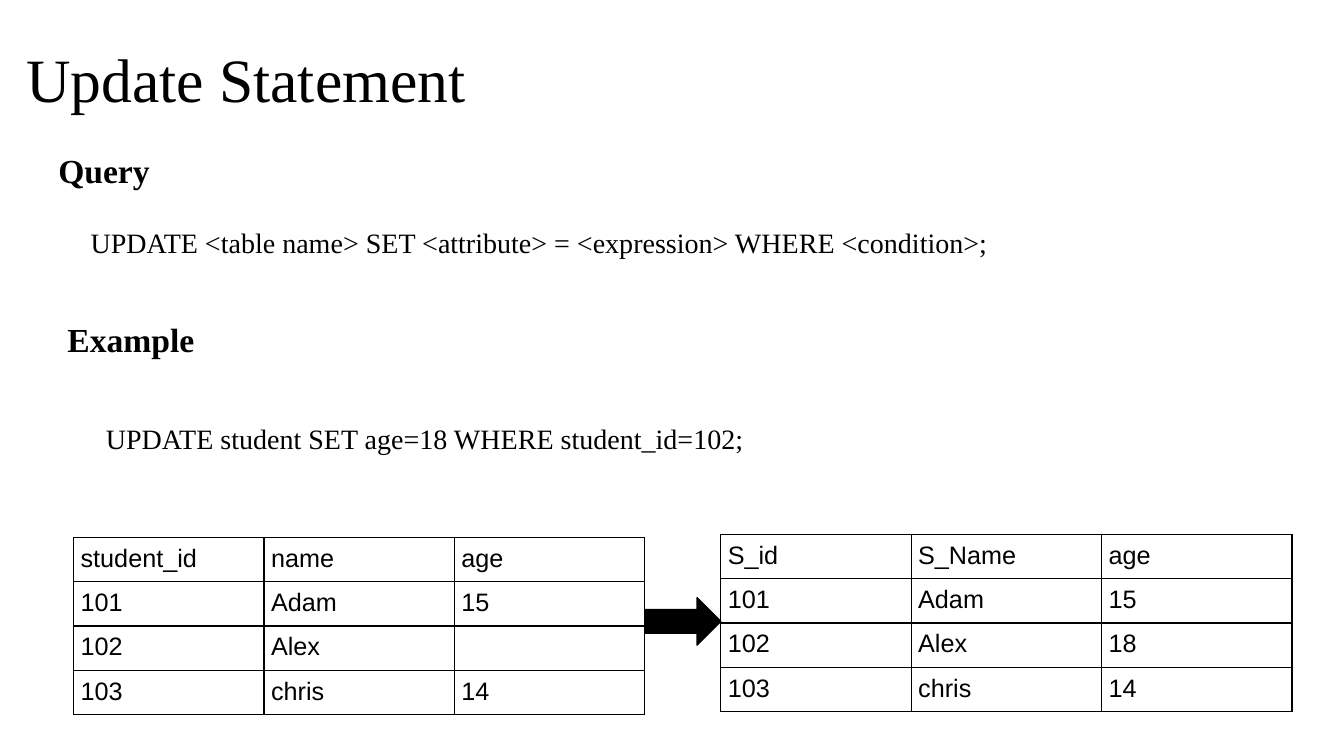
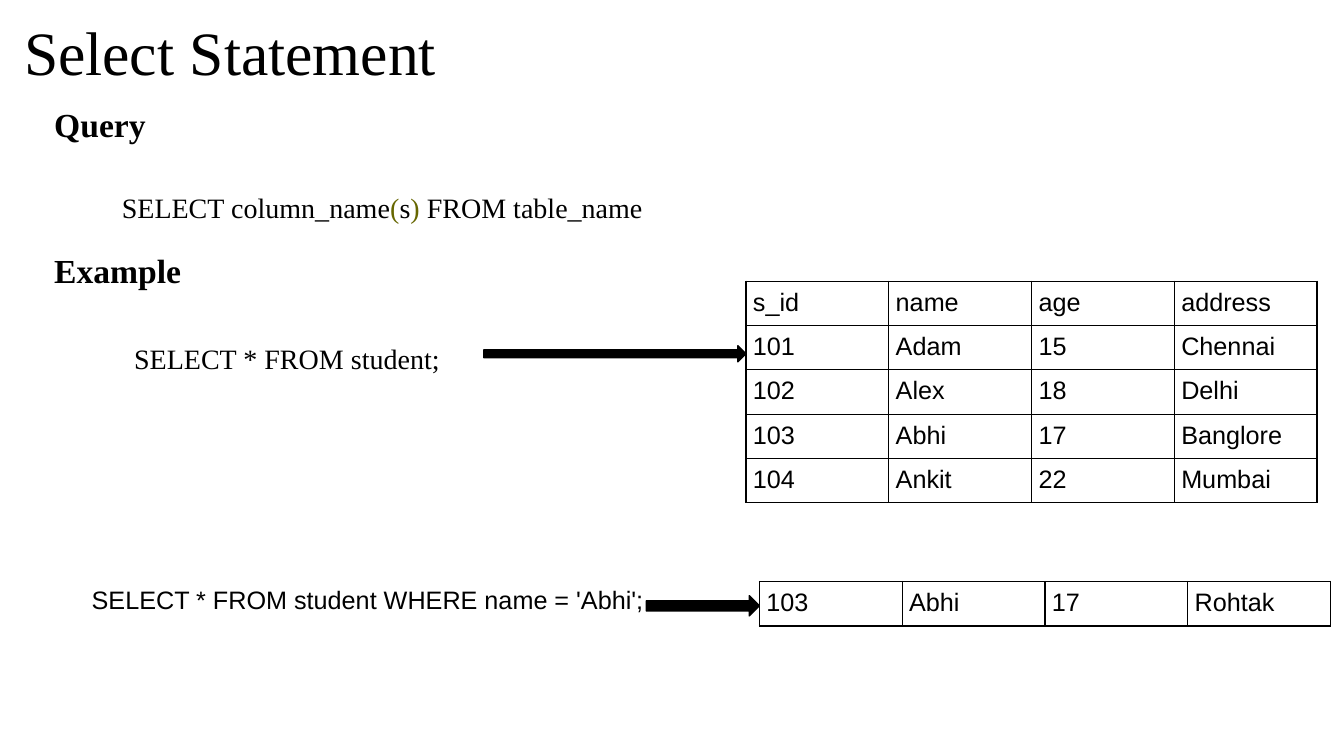
from dataclasses import dataclass

from lxml.etree import SubElement
from pptx import Presentation
from pptx.dml.color import RGBColor
from pptx.enum.shapes import MSO_SHAPE
from pptx.enum.text import MSO_ANCHOR
from pptx.oxml.ns import qn
from pptx.util import Inches, Pt

BLACK = RGBColor(0, 0, 0)
WHITE = RGBColor(255, 255, 255)
OLIVE = RGBColor(0x66, 0x66, 0)
SERIF = "Times New Roman"
SANS = "Arial"
SLIDE_WIDTH = Inches(13.33)
SLIDE_HEIGHT = Inches(7.5)
TABLE_WIDTH = 42.5
ROW_HEIGHT = 5.78
CELL_INSET = Inches(0.07)


@dataclass
class Box:
    """A rectangle in percent of the slide's width and height."""

    left: float
    top: float
    width: float
    height: float

    def lengths(self):
        """Return left, top, width and height as slide lengths."""
        return (
            int(SLIDE_WIDTH * self.left / 100),
            int(SLIDE_HEIGHT * self.top / 100),
            int(SLIDE_WIDTH * self.width / 100),
            int(SLIDE_HEIGHT * self.height / 100),
        )

    def inner(self, left, top, width, height):
        """Return a box offset from this box's top left corner."""
        return Box(self.left + left, self.top + top, width, height)


def style_font(paragraph, name, size, bold=False):
    """Give a paragraph its black font."""
    font = paragraph.font
    font.name, font.size, font.bold = name, Pt(size), bold
    font.color.rgb = BLACK


def add_text(slide, box, parts, name=SERIF, size=20, bold=False, anchor=MSO_ANCHOR.TOP):
    """Add a one-paragraph text box made of (text, colour) parts."""
    shape = slide.shapes.add_textbox(*box.lengths())
    frame = shape.text_frame
    frame.word_wrap = True
    frame.vertical_anchor = anchor
    paragraph = frame.paragraphs[0]
    style_font(paragraph, name, size, bold)
    for text, colour in parts:
        run = paragraph.add_run()
        run.text = text
        if colour != BLACK:
            run.font.color.rgb = colour
    return shape


def add_title(slide, left, top, text):
    """Add the slide title."""
    box = Box(left, top, 86.25, 19.33)
    title = add_text(slide, box, [(text, BLACK)], size=44, anchor=MSO_ANCHOR.MIDDLE)
    title.text_frame.paragraphs[0].line_spacing = 0.9


def add_heading(slide, box, text):
    """Add a bold heading at the top of a section."""
    add_text(slide, box.inner(0, 0, 24.2, 6.67), [(text, BLACK)], size=24, bold=True)


def add_query(slide, box, indent, drop, parts):
    """Add the query heading with the statement's syntax below it."""
    add_heading(slide, box, "Query")
    syntax_box = box.inner(indent, drop, box.width - indent, 5.87)
    add_text(slide, syntax_box, parts, anchor=MSO_ANCHOR.MIDDLE)


def add_example(slide, box, indent, drop, statement):
    """Add the example heading with a statement on white below it."""
    add_heading(slide, box, "Example")
    statement_box = box.inner(indent, drop, box.width - indent, 6.8)
    shape = add_text(slide, statement_box, [(statement, BLACK)], anchor=MSO_ANCHOR.MIDDLE)
    shape.text_frame.margin_left = shape.text_frame.margin_right = 0
    shape.fill.solid()
    shape.fill.fore_color.rgb = WHITE


def add_borders(cell):
    """Draw thin black lines on all four sides of a cell."""
    properties = cell._tc.get_or_add_tcPr()
    for side in ("a:lnL", "a:lnR", "a:lnT", "a:lnB"):
        line = SubElement(properties, qn(side), w=str(Pt(1)))
        fill = SubElement(line, qn("a:solidFill"))
        SubElement(fill, qn("a:srgbClr"), val=str(BLACK))


def add_records(slide, left, top, records):
    """Add a plain ruled table of records."""
    box = Box(left, top, TABLE_WIDTH, ROW_HEIGHT * len(records))
    frame = slide.shapes.add_table(len(records), len(records[0]), *box.lengths())
    table = frame.table
    table.first_row = table.horz_banding = False
    for row, record in enumerate(records):
        for column, value in enumerate(record):
            cell = table.cell(row, column)
            cell.margin_left = cell.margin_right = CELL_INSET
            cell.margin_top = cell.margin_bottom = CELL_INSET
            cell.text = value
            style_font(cell.text_frame.paragraphs[0], SANS, 18)
            add_borders(cell)
            cell.fill.background()


def add_arrow(slide, left, right, top, height):
    """Add a black block arrow that ends at the right edge given."""
    box = Box(left, top, right - left, height)
    arrow = slide.shapes.add_shape(MSO_SHAPE.RIGHT_ARROW, *box.lengths())
    arrow.shadow.inherit = False
    arrow.fill.solid()
    arrow.fill.fore_color.rgb = BLACK
    arrow.line.color.rgb = BLACK
    arrow.line.width = Pt(1)


def add_update_slide(presentation):
    """Build the slide on the update statement."""
    slide = presentation.slides.add_slide(presentation.slide_layouts[6])
    before_left, after_left = 5.48, 53.63
    add_title(slide, 1.2, 1.2, "Update Statement")
    syntax = "UPDATE <table name> SET <attribute> = <expression> WHERE <condition>;"
    add_query(slide, Box(3.6, 19.2, 72.2, 16.5), 2.4, 9.87, [(syntax, BLACK)])
    add_example(slide, Box(4.28, 41.47, 53.8, 20), 3.6, 13.06,
                "UPDATE student SET age=18 WHERE student_id=102;")
    add_records(slide, before_left, 71.07, [
        ("student_id", "name", "age"),
        ("101", "Adam", "15"),
        ("102", "Alex", ""),
        ("103", "chris", "14"),
    ])
    add_arrow(slide, before_left + TABLE_WIDTH, after_left, 79.07, 6.27)
    add_records(slide, after_left, 70.67, [
        ("S_id", "S_Name", "age"),
        ("101", "Adam", "15"),
        ("102", "Alex", "18"),
        ("103", "chris", "14"),
    ])


def add_select_slide(presentation):
    """Build the slide on the select statement."""
    slide = presentation.slides.add_slide(presentation.slide_layouts[6])
    all_left, match_left = 55.5, 56.5
    add_title(slide, 1.05, -2.27, "Select Statement")
    add_query(slide, Box(3.3, 13.07, 45.63, 17.33), 5.03, 11.46, [
        ("SELECT column_name", BLACK),
        ("(", OLIVE),
        ("s", BLACK),
        (")", OLIVE),
        (" FROM table_name", BLACK),
    ])
    add_example(slide, Box(3.3, 32.4, 32.6, 18.4), 6.68, 11.6, "SELECT * FROM student;")
    add_records(slide, all_left, 37.2, [
        ("s_id", "name", "age", "address"),
        ("101", "Adam", "15", "Chennai"),
        ("102", "Alex", "18", "Delhi"),
        ("103", "Abhi", "17", "Banglore"),
        ("104", "Ankit", "22", "Mumbai"),
    ])
    add_arrow(slide, 36, all_left, 45.73, 2.13)
    add_text(slide, Box(6.08, 76.67, 43, 5.33),
             [("SELECT * FROM student WHERE name = 'Abhi';", BLACK)], name=SANS, size=18)
    add_records(slide, match_left, 76.93, [("103", "Abhi", "17", "Rohtak")])
    add_arrow(slide, 48.08, match_left, 78.8, 2.67)


def main():
    """Build and save the presentation."""
    presentation = Presentation()
    presentation.slide_width = SLIDE_WIDTH
    presentation.slide_height = SLIDE_HEIGHT
    add_update_slide(presentation)
    add_select_slide(presentation)
    presentation.save("out.pptx")


if __name__ == "__main__":
    main()
